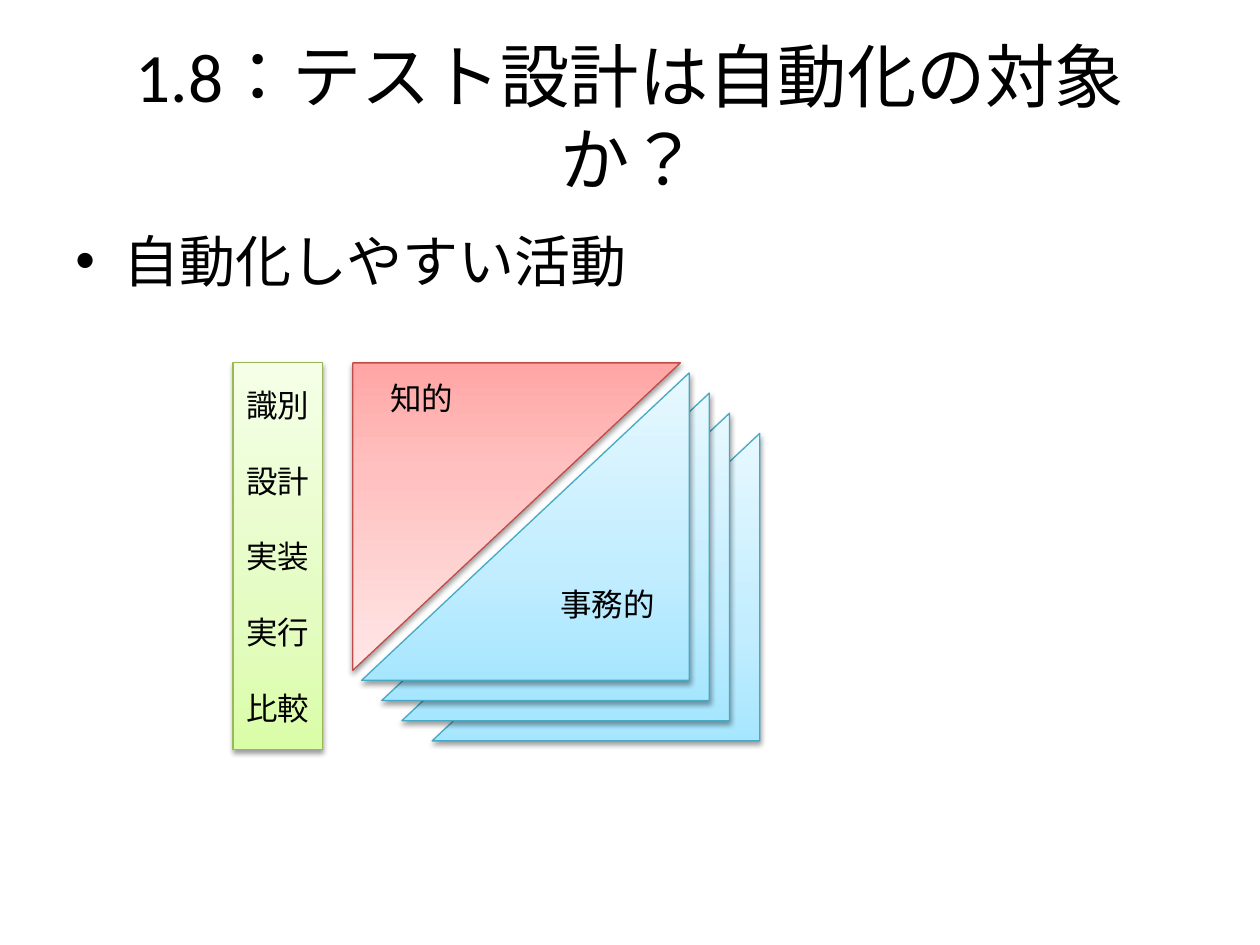
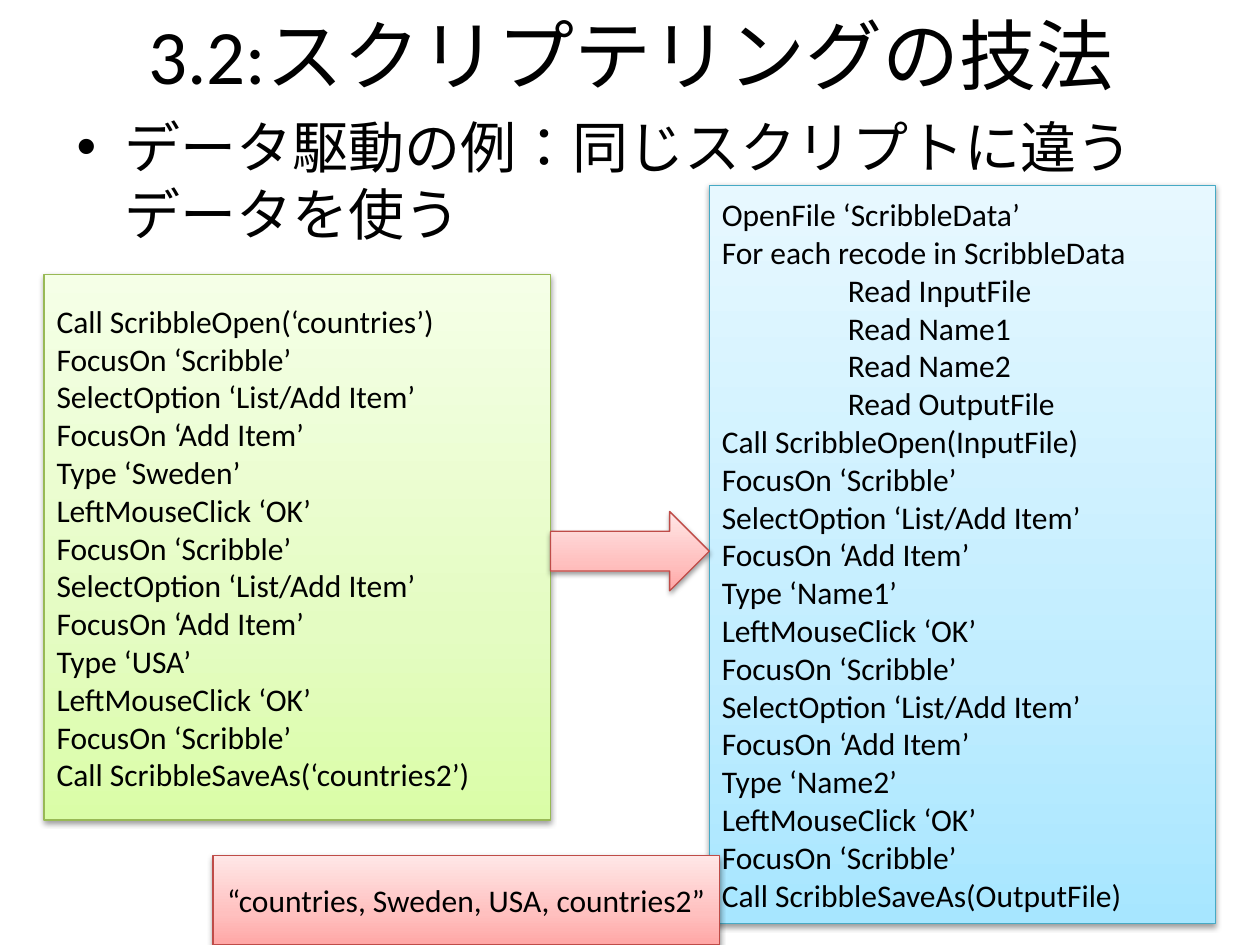
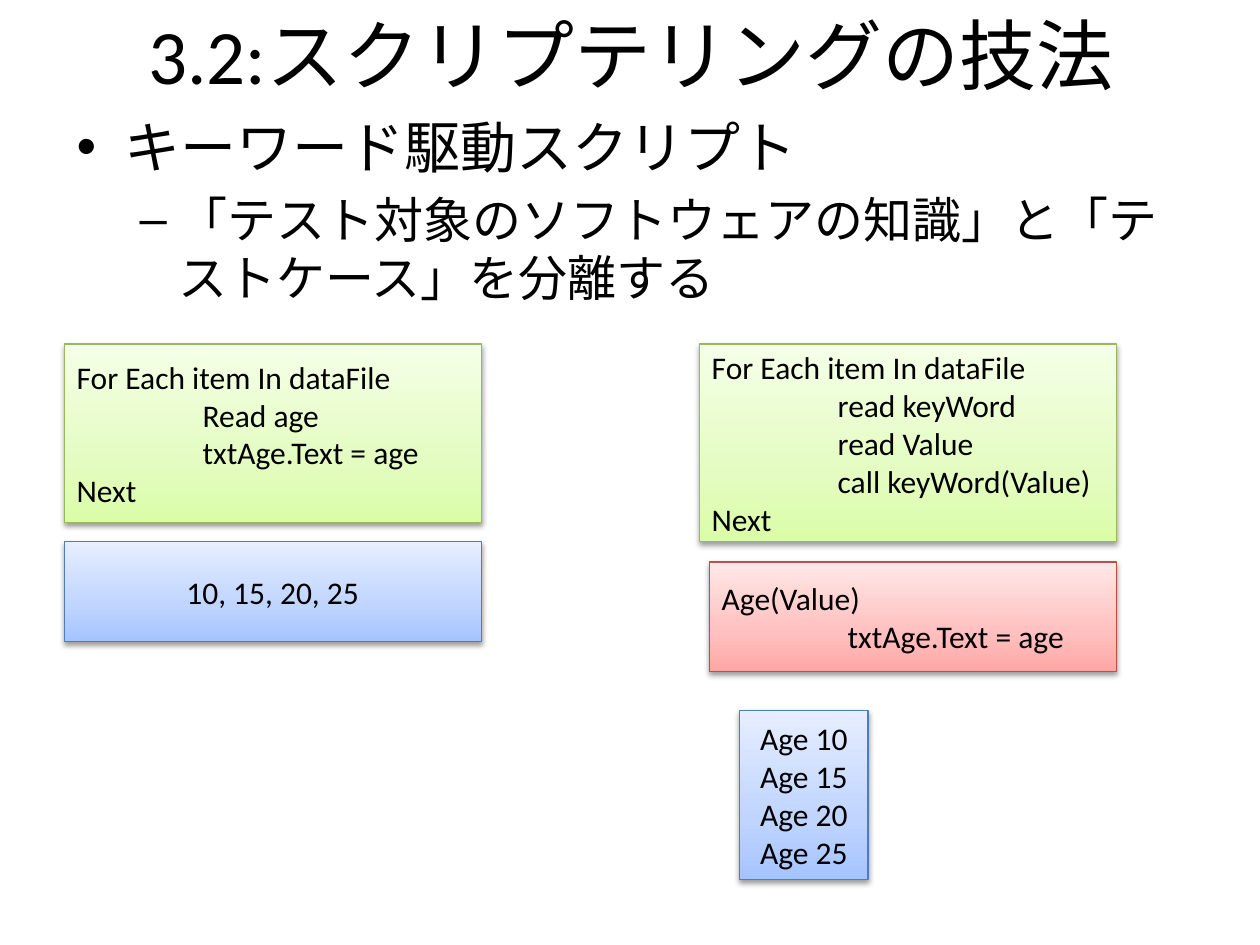
from dataclasses import dataclass

from lxml.etree import SubElement
from pptx import Presentation
from pptx.dml.color import RGBColor
from pptx.enum.lang import MSO_LANGUAGE_ID
from pptx.enum.shapes import MSO_SHAPE
from pptx.enum.text import MSO_ANCHOR, PP_ALIGN
from pptx.oxml.ns import qn
from pptx.shapes.autoshape import Shape
from pptx.slide import Slide
from pptx.text.text import TextFrame, _Paragraph
from pptx.util import Inches, Pt

# Shared style
FONT = "Calibri"
COLORS = {
    "text": "000000",
    "shadow": "000000",
    "green": "98B955",
    "cyan": "46AAC5",
    "red": "BF4C48",
    "blue": "4B7EBC",
}
# Gradient stops from the bottom edge to the top edge
SHADES = {
    "green": ("DAFDA7", "E4FCC2", "F5FFE7"),
    "cyan": ("A7E6FF", "C1EDFF", "E7F8FF"),
    "red": ("FFA6A5", "FFC0BF", "FFE7E7"),
    "blue": ("A4C4FF", "BFD4FF", "E6EEFF"),
}
STOPS = (0, 35, 100)
LEFT, CENTER = PP_ALIGN.LEFT, PP_ALIGN.CENTER
RECT, WEDGE = MSO_SHAPE.RECTANGLE, MSO_SHAPE.ISOSCELES_TRIANGLE
SCRIPTING = "3.2:スクリプテリングの技法"


@dataclass
class Box:
    """A shaded shape with optional lines of text."""
    left: float
    top: float
    width: float
    height: float
    color: str
    lines: tuple[str, ...] = ()
    align: PP_ALIGN = LEFT
    kind: MSO_SHAPE = RECT
    gap: float = 0
    turn: float = 0


@dataclass
class Level:
    """Bullet, size and indents of one outline level."""
    mark: str
    size: float
    margin: float
    hang: float


LEVELS = (Level("•", 32, 0.38, 0.38), Level("–", 28, 0.81, 0.31))


# Text
def fill_text(frame: TextFrame, lines: tuple[str, ...], size: float,
              align: PP_ALIGN, gap: float = 0) -> None:
    frame.word_wrap = True
    frame.vertical_anchor = MSO_ANCHOR.MIDDLE
    for i, line in enumerate(lines):
        para = frame.add_paragraph() if i else frame.paragraphs[0]
        para.text = line
        para.alignment = align
        if i and gap:
            para.space_before = Pt(gap)
        if line.startswith("\t"):
            tabs = SubElement(para._p.get_or_add_pPr(), qn("a:tabLst"))
            SubElement(tabs, qn("a:tab"), pos=str(Inches(1)), algn="l")
        set_font(para, size)


def set_font(para: _Paragraph, size: float) -> None:
    """Set the type, and Japanese rules without hanging punctuation."""
    para._p.get_or_add_pPr().set("hangingPunct", "0")
    para.font.name = FONT
    para.font.size = Pt(size)
    para.font.color.rgb = RGBColor.from_string(COLORS["text"])
    for run in para.runs:
        run.font.language_id = MSO_LANGUAGE_ID.JAPANESE


def add_label(slide: Slide, left: float, top: float, width: float,
              height: float, text: str, size: float) -> None:
    box = slide.shapes.add_textbox(
        Inches(left), Inches(top), Inches(width), Inches(height))
    fill_text(box.text_frame, (text,), size, CENTER)


def add_body(slide: Slide, left: float, top: float, width: float,
             height: float, *lines: str) -> None:
    """Draw an outline with one line for each level."""
    box = slide.shapes.add_textbox(
        Inches(left), Inches(top), Inches(width), Inches(height))
    frame = box.text_frame
    frame.word_wrap = True
    for i, (line, level) in enumerate(zip(lines, LEVELS)):
        para = frame.add_paragraph() if i else frame.paragraphs[0]
        para.text = line
        props = para._p.get_or_add_pPr()
        props.set("marL", str(Inches(level.margin)))
        props.set("indent", str(-Inches(level.hang)))
        SubElement(props, qn("a:buFont"), typeface="Arial")
        SubElement(props, qn("a:buChar"), char=level.mark)
        if i:
            para.space_before = Pt(0.2 * level.size)
        set_font(para, level.size)


# Shapes
def shade(shape: Shape, color: str) -> None:
    """Give a shape its three-stop gradient, outline and soft shadow."""
    shape.fill.gradient()
    shape.fill.gradient_angle = 90
    props = shape._element.spPr
    stops = props.find(qn("a:gradFill")).find(qn("a:gsLst"))
    stops.clear()
    for pos, tone in zip(STOPS, SHADES[color]):
        stop = SubElement(stops, qn("a:gs"), pos=str(pos * 1000))
        SubElement(stop, qn("a:srgbClr"), val=tone)
    shape.line.color.rgb = RGBColor.from_string(COLORS[color])
    shape.line.width = Pt(0.75)
    shape.shadow.inherit = False
    cast = SubElement(
        props.find(qn("a:effectLst")), qn("a:outerShdw"),
        blurRad=str(Pt(3.1)), dist=str(Pt(1.6)), dir="5400000",
        rotWithShape="0")
    tint = SubElement(cast, qn("a:srgbClr"), val=COLORS["shadow"])
    SubElement(tint, qn("a:alpha"), val="38000")


def add_box(slide: Slide, box: Box) -> None:
    shape = slide.shapes.add_shape(
        box.kind, Inches(box.left), Inches(box.top),
        Inches(box.width), Inches(box.height))
    shape.rotation = box.turn
    if box.kind == WEDGE:
        shape.adjustments[0] = 1
    shade(shape, box.color)
    if box.lines:
        fill_text(shape.text_frame, box.lines, 18, box.align, box.gap)


def add_wedge(slide: Slide, left: float, top: float, color: str = "cyan",
              turn: float = 0, lines: tuple[str, ...] = ()) -> None:
    add_box(slide, Box(left, top, 2.6, 2.44, color, lines, CENTER, WEDGE,
                       turn=turn))


# Test script listings
def list_steps(source: str, names: tuple[str, ...],
               target: str) -> tuple[str, ...]:
    steps = [f"Call ScribbleOpen({source})"]
    for name in names:
        steps += ["FocusOn ‘Scribble’", "SelectOption ‘List/Add Item’",
                  "FocusOn ‘Add Item’", f"Type ‘{name}’",
                  "LeftMouseClick ‘OK’"]
    return (*steps, "FocusOn ‘Scribble’", f"Call ScribbleSaveAs({target})")


def list_loop(*steps: str) -> tuple[str, ...]:
    return ("For Each item In dataFile", *(f"\t{s}" for s in steps), "Next")


# Slides
def draw_target(slide: Slide) -> None:
    for left, top in ((3.43, 3.44), (3.19, 3.28), (3.03, 3.12)):
        add_wedge(slide, left, top)
    add_label(slide, 0.5, 0.3, 9, 1.25,
              "1.8：テスト設計は自動化の対象か？", 39.6)
    add_body(slide, 0.5, 1.75, 5.6, 0.74, "自動化しやすい活動")
    add_wedge(slide, 2.8, 2.88, "red", 180)
    add_wedge(slide, 2.87, 2.96, lines=("事務的",))
    add_label(slide, 2.95, 2.96, 0.79, 0.39, "知的", 18)
    add_box(slide, Box(1.85, 2.88, 0.71, 3.07, "green",
                       ("識別", "設計", "実装", "実行", "比較"), CENTER,
                       gap=21.6))


def draw_script(slide: Slide, body: tuple[str, ...], height: float,
                boxes: tuple[Box, ...]) -> None:
    add_body(slide, 0.51, 0.84, 9, height, *body)
    add_label(slide, 0.51, 0, 9, 0.85, SCRIPTING, 44)
    for box in boxes:
        add_box(slide, box)


DATA = (
    Box(0.35, 2.18, 4.02, 4.33, "green",
        list_steps("‘countries’", ("Sweden", "USA"), "‘countries2’")),
    Box(5.63, 1.47, 4.02, 5.86, "cyan",
        ("OpenFile ‘ScribbleData’", "For each recode in ScribbleData",
         "\tRead InputFile", "\tRead Name1", "\tRead Name2",
         "\tRead OutputFile",
         *list_steps("InputFile", ("Name1", "Name2"), "OutputFile"))),
    Box(4.37, 4.06, 1.26, 0.63, "red", kind=MSO_SHAPE.RIGHT_ARROW),
    Box(1.69, 6.79, 4.02, 0.71, "red",
        ("“countries, Sweden, USA, countries2”",), CENTER),
)
AGES = (10, 15, 20, 25)
KEYWORD = (
    Box(0.51, 2.73, 3.31, 1.42, "green",
        list_loop("Read age", "txtAge.Text = age")),
    Box(0.51, 4.3, 3.31, 0.79, "blue", (", ".join(map(str, AGES)),), CENTER),
    Box(5.55, 2.73, 3.31, 1.57, "green",
        list_loop("read keyWord", "read Value", "call keyWord(Value)")),
    Box(5.87, 5.64, 1.02, 1.34, "blue",
        tuple(f"Age {age}" for age in AGES), CENTER),
    Box(5.63, 4.46, 3.23, 0.87, "red", ("Age(Value)", "\ttxtAge.Text = age")),
)


def main() -> None:
    deck = Presentation()
    deck.slide_width, deck.slide_height = Inches(10), Inches(7.5)
    blank = deck.slide_layouts[6]
    draw_target(deck.slides.add_slide(blank))
    draw_script(deck.slides.add_slide(blank),
                ("データ駆動の例：同じスクリプトに違うデータを使う",), 1.5, DATA)
    draw_script(deck.slides.add_slide(blank),
                ("キーワード駆動スクリプト",
                 "「テスト対象のソフトウェアの知識」と「テストケース」を分離する"),
                1.89, KEYWORD)
    deck.save("out.pptx")


if __name__ == "__main__":
    main()
